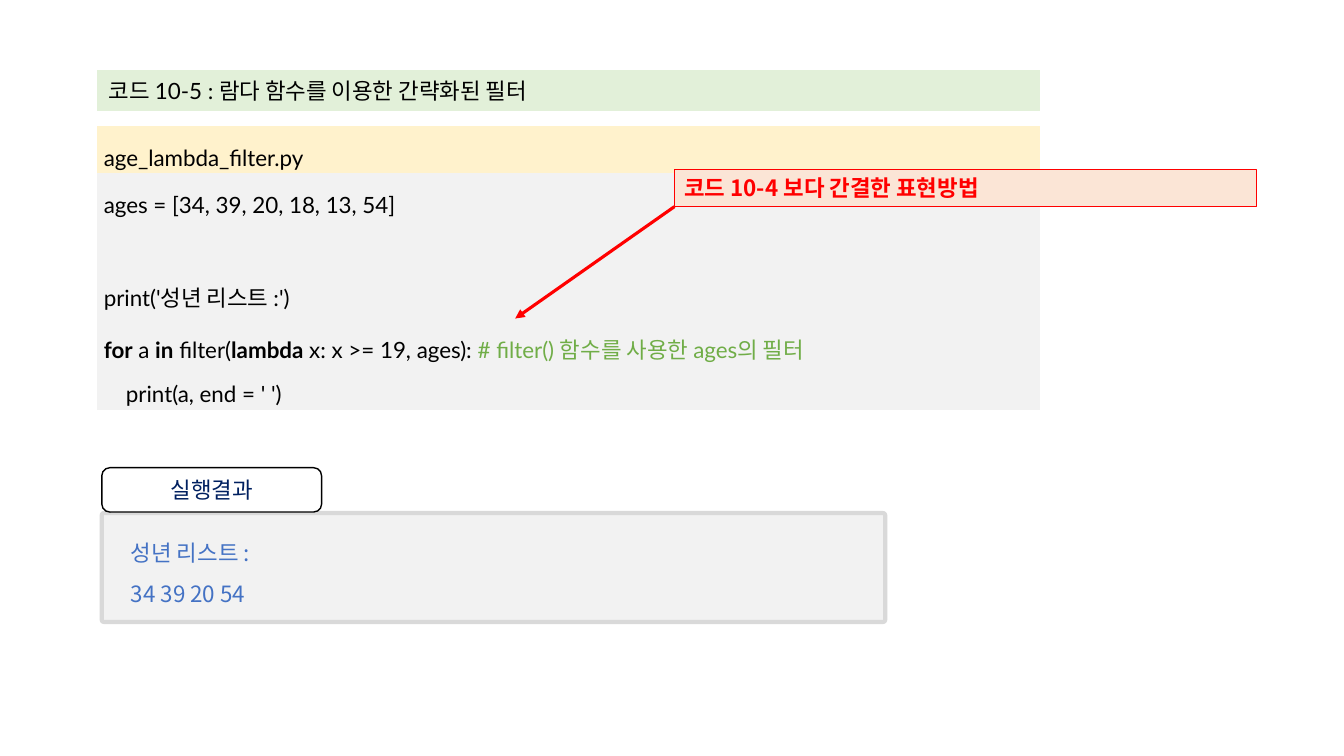
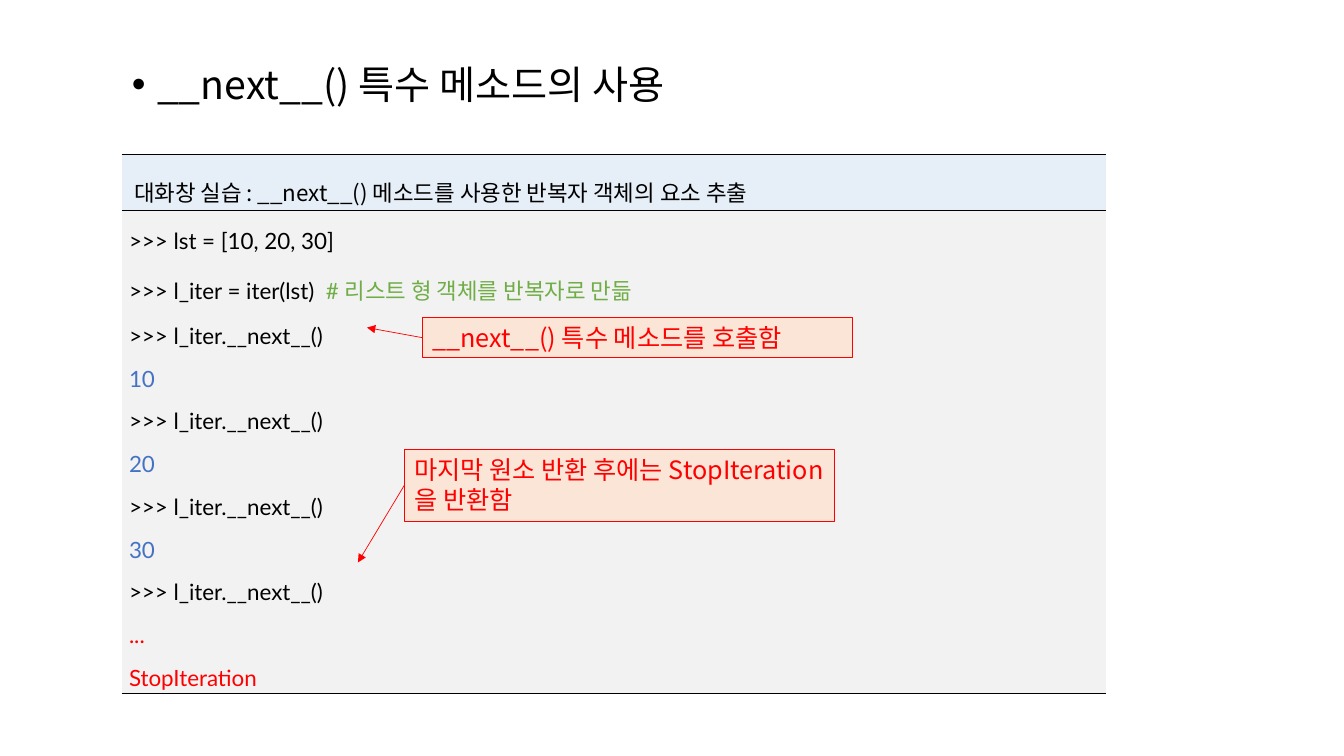
"""Build two slides on lambda filters and the __next__() iterator method."""
from dataclasses import dataclass

from lxml.etree import SubElement
from pptx import Presentation
from pptx.dml.color import RGBColor
from pptx.enum.shapes import MSO_CONNECTOR, MSO_SHAPE
from pptx.enum.text import MSO_ANCHOR, MSO_AUTO_SIZE, PP_ALIGN
from pptx.oxml import parse_xml
from pptx.oxml.ns import nsdecls, qn
from pptx.util import Inches, Pt


@dataclass(frozen=True)
class Theme:
    latin: str = "Lato"
    korean: str = "Noto Sans CJK KR"
    black: str = "000000"
    white: str = "FFFFFF"
    red: str = "FF0000"
    blue: str = "4472C4"
    navy: str = "002060"
    green: str = "70AD47"
    code_fill: str = "F2F2F2"
    caption_fill: str = "E2F0D9"
    file_fill: str = "FFF2CC"
    session_fill: str = "E6EEF7"
    callout_fill: str = "FBE5D6"
    frame: str = "D9D9D9"
    title_size: int = 28
    callout_size: int = 18
    body_size: int = 16
    gap_size: int = 1
    code_spacing: float = 1.6
    result_spacing: float = 1.5
    plain_style: str = "{2D5ABB26-0587-4C30-8999-92F81FD0307C}"


theme = Theme()


def write(text_frame, lines, size=theme.body_size, font=theme.korean,
          spacing=None, alignment=PP_ALIGN.LEFT):
    """Write lines, each a list of (text, colour, bold) runs."""
    text_frame.word_wrap = True
    for index, line in enumerate(lines):
        paragraph = text_frame.add_paragraph() if index else text_frame.paragraphs[0]
        paragraph.alignment = alignment
        if spacing:
            paragraph.line_spacing = spacing
        for text, color, bold in line:
            run = paragraph.add_run()
            run.text = text
            run.font.size = Pt(size)
            run.font.bold = bold
            run.font.color.rgb = RGBColor.from_string(color)
            run.font.name = font
            SubElement(run.font._element, qn("a:ea"), typeface=theme.korean)


def add_box(slide, preset, left, top, width, height, fill, line, weight):
    """Add a filled and outlined shape without a shadow."""
    shape = slide.shapes.add_shape(
        preset, Inches(left), Inches(top), Inches(width), Inches(height))
    shape.shadow.inherit = False
    shape.fill.solid()
    shape.fill.fore_color.rgb = RGBColor.from_string(fill)
    shape.line.color.rgb = RGBColor.from_string(line)
    shape.line.width = Pt(weight)
    return shape


presentation = Presentation()
presentation.slide_width = Inches(13.33)
presentation.slide_height = Inches(7.5)
filter_slide, iterator_slide = [
    presentation.slides.add_slide(presentation.slide_layouts[6]) for _ in range(2)]

filter_code = [
    [("ages = [34, 39, 20, 18, 13, 54]", theme.black, False)],
    [("print('성년 리스트 :')", theme.black, False)],
    [("for", theme.black, True), (" a ", theme.black, False),
     ("in", theme.black, True), (" filter(", theme.black, False),
     ("lambda", theme.black, True), (" x: x >= 19, ages): ", theme.black, False),
     ("# filter() 함수를 사용한 ages의 필터", theme.green, False)],
    [("print(a, end = ' ')", theme.black, False)],
]
next_call = [(">>> l_iter.__next__()", theme.black, False)]
iterator_code = [
    [(">>> lst = [10, 20, 30]", theme.black, False)],
    [(">>> l_iter = iter(lst)  ", theme.black, False),
     ("# 리스트 형 객체를 반복자로 만듦", theme.green, False)],
]
for value in ("10", "20", "30"):
    iterator_code += [next_call, [(value, theme.blue, False)]]
iterator_code += [next_call] + [
    [(text, theme.red, False)] for text in ("...", "StopIteration")]

filter_caption = [[(" 코드 10-5 : 람다 함수를 이용한 간략화된 필터", theme.black, False)]]
file_name = [[("age_lambda_filter.py", theme.black, False)]]
session_caption = [[
    (" 대화창 실습 : __next__() 메소드를 사용한 반복자 객체의 요소 추출", theme.black, False)]]

listings = [
    (filter_slide, 0.96, 0.69, 9.36, [
        (0.41, theme.caption_fill, filter_caption, theme.latin, 1, {}),
        (0.15, None, [], theme.latin, 1, {}),
        (0.47, theme.file_fill, file_name, theme.latin, theme.code_spacing, {}),
        (2.33, theme.code_fill, filter_code, theme.latin, theme.code_spacing, {})]),
    (iterator_slide, 1.21, 1.53, 9.76, [
        (0.55, theme.session_fill, session_caption, theme.korean,
         theme.code_spacing, {"T": 1, "B": 0.28}),
        (4.79, theme.code_fill, iterator_code, theme.latin,
         theme.code_spacing, {"T": 0.28, "B": 0.28})]),
]
tables = []
for slide, left, top, width, rows in listings:
    total = sum(row[0] for row in rows)
    table = slide.shapes.add_table(
        len(rows), 1, Inches(left), Inches(top), Inches(width), Inches(total)).table
    table.first_row = False
    table.horz_banding = False
    table._tbl.tblPr.find(qn("a:tableStyleId")).text = theme.plain_style
    tables.append(table)
    for index, (height, fill, lines, font, spacing, borders) in enumerate(rows):
        table.rows[index].height = Inches(height)
        cell = table.cell(index, 0)
        cell.vertical_anchor = MSO_ANCHOR.MIDDLE
        cell.margin_left = cell.margin_right = Inches(0.07)
        cell.margin_top = cell.margin_bottom = Inches(0.02)
        if fill:
            cell.fill.solid()
            cell.fill.fore_color.rgb = RGBColor.from_string(fill)
            write(cell.text_frame, lines, font=font, spacing=spacing,
                  alignment=PP_ALIGN.JUSTIFY if spacing > 1 else PP_ALIGN.LEFT)
        else:
            cell.fill.background()
            end_properties = cell.text_frame.paragraphs[0]._p.get_or_add_endParaRPr()
            end_properties.set("sz", str(theme.gap_size * 100))
        for position, (side, weight) in enumerate(borders.items()):
            cell._tc.get_or_add_tcPr().insert(position, parse_xml(
                f'<a:ln{side} {nsdecls("a")} w="{Pt(weight)}"><a:solidFill>'
                f'<a:srgbClr val="{theme.black}"/></a:solidFill></a:ln{side}>'))

code_paragraphs = tables[0].cell(3, 0).text_frame.paragraphs
code_paragraphs[1].space_before = Pt(31)
code_paragraphs[3]._p.get_or_add_pPr().set("marL", str(Inches(0.22)))

result_box = add_box(filter_slide, MSO_SHAPE.ROUNDED_RECTANGLE,
                     1.01, 5.09, 7.77, 1.08, theme.code_fill, theme.frame, 3)
result_box.adjustments[0] = 0.02
result_tab = add_box(filter_slide, MSO_SHAPE.ROUNDED_RECTANGLE,
                     1.01, 4.64, 2.18, 0.44, theme.white, theme.black, 1)
result_tab.adjustments[0] = 0.18
write(result_tab.text_frame, [[("실행결과", theme.navy, False)]],
      alignment=PP_ALIGN.CENTER)
result_text = filter_slide.shapes.add_textbox(
    Inches(1.2), Inches(5.17), Inches(7.07), Inches(0.86))
write(result_text.text_frame,
      [[(text, theme.blue, False)] for text in ("성년 리스트 :", "34 39 20 54")],
      spacing=theme.result_spacing)

title = iterator_slide.shapes.add_textbox(
    Inches(1.21), Inches(0.6), Inches(10.01), Inches(0.6))
write(title.text_frame, [[("__next__() 특수 메소드의 사용", theme.black, False)]],
      size=theme.title_size, spacing=0.9)
title_paragraph = title.text_frame.paragraphs[0]
title_paragraph.space_before = Pt(10)
title_properties = title_paragraph._p.get_or_add_pPr()
title_properties.set("marL", str(Inches(0.25)))
title_properties.set("indent", str(Inches(-0.25)))
SubElement(title_properties, qn("a:buFont"), typeface="Arial")
SubElement(title_properties, qn("a:buChar"), char="•")

callouts = [
    (filter_slide, 6.69, 1.68, 5.77, 0.37, "코드 10-4 보다 간결한 표현방법",
     theme.body_size, True, False, 5.11, 3.16, 2.25),
    (iterator_slide, 4.01, 4.46, 4.27, 0.71,
     "마지막 원소 반환 후에는 StopIteration을 반환함",
     theme.callout_size, False, True, 3.55, 5.58, 0.5),
    (iterator_slide, 4.19, 3.15, 4.27, 0.4, "__next__() 특수 메소드를 호출함",
     theme.callout_size, False, True, 3.64, 3.25, 0.5),
]
for (slide, left, top, width, height, text, size, bold,
     joined, end_left, end_top, weight) in callouts:
    callout = add_box(slide, MSO_SHAPE.RECTANGLE, left, top, width, height,
                      theme.callout_fill, theme.red, 0.75)
    callout.text_frame.vertical_anchor = MSO_ANCHOR.TOP
    write(callout.text_frame, [[(text, theme.red, bold)]], size=size)
    callout.text_frame.auto_size = MSO_AUTO_SIZE.SHAPE_TO_FIT_TEXT
    arrow = slide.shapes.add_connector(
        MSO_CONNECTOR.STRAIGHT, Inches(left), Inches(top + height),
        Inches(end_left), Inches(end_top))
    if joined:
        arrow.begin_connect(callout, 1)
    arrow.line.color.rgb = RGBColor.from_string(theme.red)
    arrow.line.width = Pt(weight)
    SubElement(arrow.line._get_or_add_ln(), qn("a:tailEnd"), type="triangle")
    SubElement(arrow._element.spPr, qn("a:effectLst"))

presentation.save("out.pptx")
